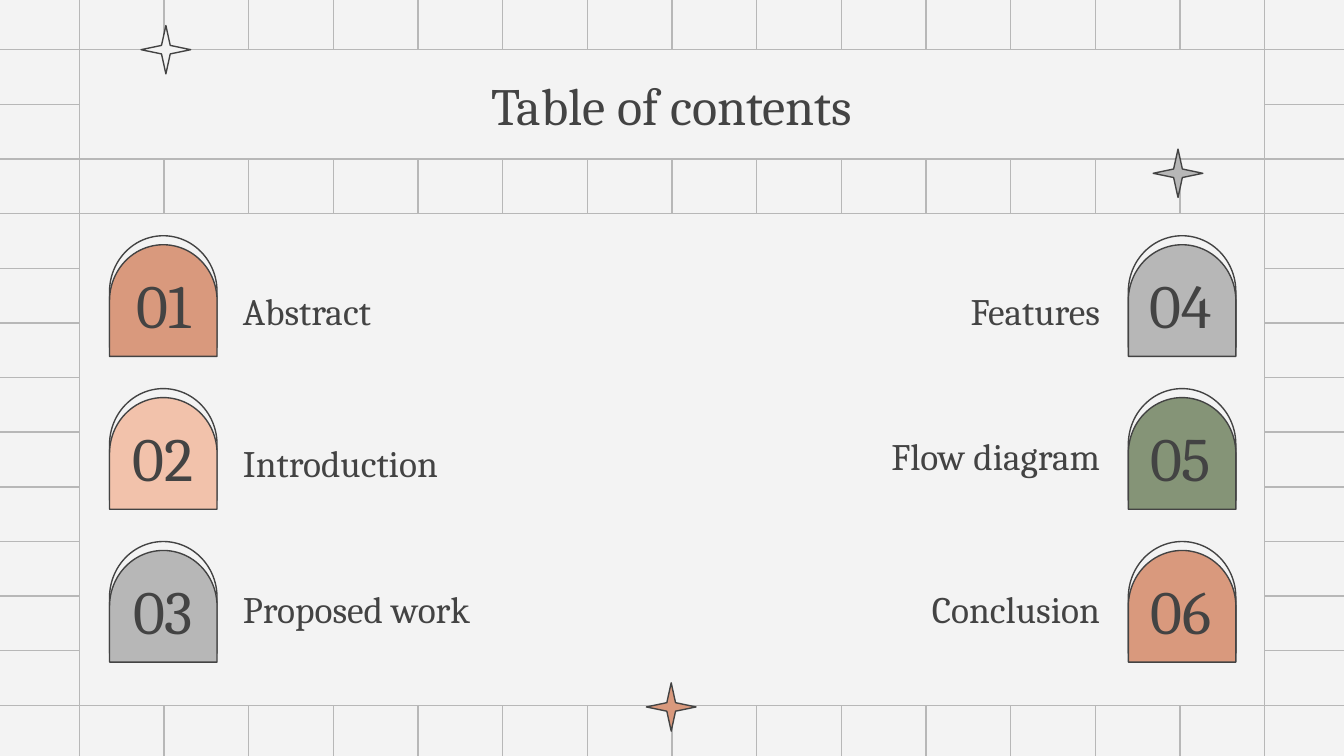
"""Build a table of contents slide with numbered arches on a grid."""
from lxml.etree import SubElement
from pptx import Presentation
from pptx.dml.color import RGBColor
from pptx.enum.shapes import MSO_CONNECTOR, MSO_SHAPE
from pptx.enum.text import MSO_ANCHOR, MSO_AUTO_SIZE, PP_ALIGN
from pptx.oxml.ns import qn
from pptx.util import Pt

PAPER = RGBColor(0xF3, 0xF3, 0xF3)
INK = RGBColor(0x43, 0x43, 0x43)
GRAY = RGBColor(0xB7, 0xB7, 0xB7)
CLAY = RGBColor(0xD9, 0x99, 0x7D)
PEACH = RGBColor(0xF2, 0xC2, 0xAB)
GREEN = RGBColor(0x85, 0x94, 0x77)
FONT = "Cambria"

TITLE = "Table of contents"
LEFT = [
    ("01", "Abstract", CLAY, 151.9),
    ("02", "Introduction", PEACH, 233.3),
    ("03", "Proposed work", GRAY, 311.8),
]
RIGHT = [
    ("04", "Features", GRAY, 151.9),
    ("05", "Flow diagram", GREEN, 229.7),
    ("06", "Conclusion", CLAY, 311.8),
]
SIDES = [
    (LEFT, 57.6, 54, 123.1, PP_ALIGN.LEFT),
    (RIGHT, 603.4, 599, 373.3, PP_ALIGN.RIGHT),
]
STARS = [(617.8, 79.9, GRAY), (75.6, 13.7, PAPER), (346.3, 365.8, CLAY)]

WIDE, HIGH = 720, 405
COLS, ROWS = 15, 13
GRID_X, GRID_Y = 42.5, 26.6
STEP_X, STEP_Y = 45.36, 29.28
SPAN = (COLS - 1) * STEP_X
EDGE = 2.5
ARCH_Y, NUM_Y, PITCH = 127.4, 143.3, 81.9


def paint(shape, fill, line):
    shape.shadow.inherit = False
    shape.fill.solid()
    shape.fill.fore_color.rgb = fill
    shape.line.color.rgb = line
    shape.line.width = Pt(0.75)


def add_line(shapes, *ends):
    line = shapes.add_connector(MSO_CONNECTOR.STRAIGHT, *map(Pt, ends))
    line.line.color.rgb = GRAY
    line.line.width = Pt(0.75)
    SubElement(line.element.spPr, qn("a:effectLst"))


def add_form(shapes, kind, box, fill, line=INK):
    form = shapes.add_shape(kind, *map(Pt, box))
    paint(form, fill, line)
    return form


def write(shape, text, size, align, after=0):
    frame = shape.text_frame
    frame.text = text
    frame.word_wrap = True
    frame.auto_size = MSO_AUTO_SIZE.NONE
    frame.vertical_anchor = MSO_ANCHOR.MIDDLE
    frame.margin_left = frame.margin_right = Pt(7.2)
    frame.margin_top = frame.margin_bottom = Pt(7.2)
    para = frame.paragraphs[0]
    para.alignment = align
    para.space_after = Pt(after)
    font = para.runs[0].font
    font.name, font.size = FONT, Pt(size)
    font.color.rgb = INK


def add_grid(shapes):
    for col in range(COLS):
        x = GRID_X + col * STEP_X
        add_line(shapes, x, -EDGE, x, HIGH + EDGE)
    for row in range(ROWS):
        y = GRID_Y + row * STEP_Y
        add_line(shapes, -EDGE, y, WIDE + EDGE, y)


def add_item(shapes, item, row, arch_x, num_x, text_x, align):
    num, text, fill, text_y = item
    drop = row * PITCH
    for gap, tint in ((0, PAPER), (4.8, fill)):
        box = (arch_x, ARCH_Y + drop + gap, 59.8, 57.6)
        arch = add_form(shapes, MSO_SHAPE.FLOWCHART_DELAY, box, tint)
        arch.rotation = 270
    label = shapes.add_textbox(Pt(text_x), Pt(text_y), Pt(223.2), Pt(28.8))
    write(label, text, 20, align, 12)
    count = shapes.add_textbox(Pt(num_x), Pt(NUM_Y + drop), Pt(67), Pt(38.9))
    write(count, num, 33, PP_ALIGN.CENTER)


def main():
    deck = Presentation()
    deck.slide_width, deck.slide_height = Pt(WIDE), Pt(HIGH)
    slide = deck.slides.add_slide(deck.slide_layouts[5])
    slide.background.fill.solid()
    slide.background.fill.fore_color.rgb = PAPER
    shapes = slide.shapes

    add_grid(shapes)
    box = (GRID_X, GRID_Y + 3 * STEP_Y, SPAN, 9 * STEP_Y)
    panel = add_form(shapes, MSO_SHAPE.RECTANGLE, box, PAPER, GRAY)

    title = shapes.title
    title.left, title.top = Pt(GRID_X), Pt(GRID_Y)
    title.width, title.height = Pt(SPAN), Pt(2 * STEP_Y)
    paint(title, PAPER, GRAY)
    write(title, TITLE, 28, PP_ALIGN.CENTER)
    panel.element.addnext(title.element)

    for items, *place in SIDES:
        for row, item in enumerate(items):
            add_item(shapes, item, row, *place)

    for x, y, fill in STARS:
        star = add_form(shapes, MSO_SHAPE.STAR_4_POINT, (x, y, 26.6, 25.9), fill)
        star.adjustments[0] = 0.125

    deck.save("out.pptx")


if __name__ == "__main__":
    main()
